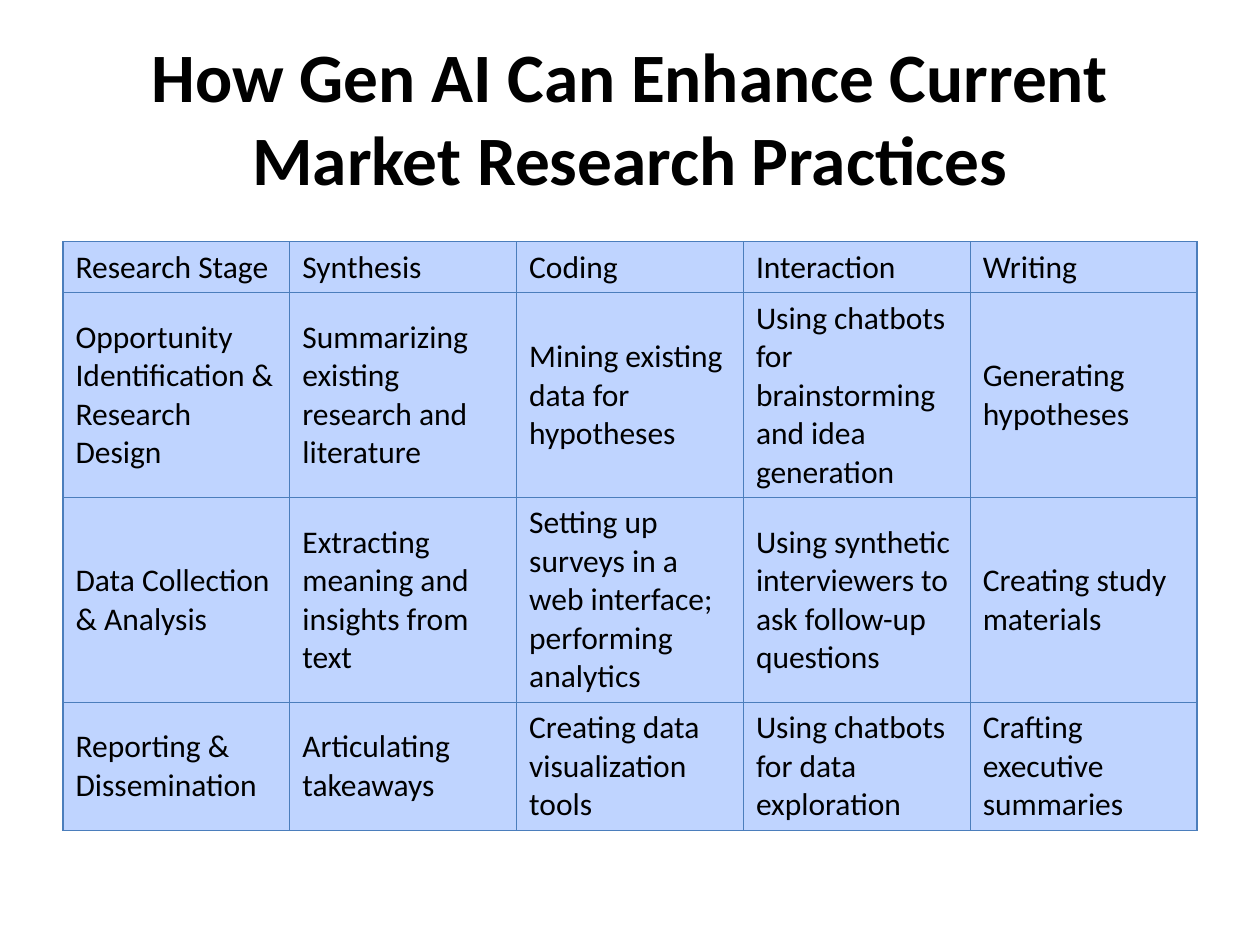
from lxml.etree import SubElement
from pptx import Presentation
from pptx.dml.color import RGBColor
from pptx.enum.text import MSO_ANCHOR as Anchor, PP_ALIGN as Align
from pptx.oxml.ns import qn
from pptx.util import Inches, Pt

INK, CELL_FILL, BORDER = "000000", "BFD4FF", "4B7EBC"
MARGIN, TABLE_TOP = 0.5, 1.92
LINE_HEIGHT, CELL_PADDING = 0.305, 0.1

ROWS = [
    ["Research Stage", "Synthesis", "Coding", "Interaction", "Writing"],
    ["Opportunity Identification & Research Design",
     "Summarizing existing research and literature",
     "Mining existing data for hypotheses",
     "Using chatbots for brainstorming and idea generation",
     "Generating hypotheses"],
    ["Data Collection & Analysis",
     "Extracting meaning and insights from text",
     "Setting up surveys in a web interface; performing analytics",
     "Using synthetic interviewers to ask follow-up questions",
     "Creating study materials"],
    ["Reporting & Dissemination",
     "Articulating takeaways",
     "Creating data visualization tools",
     "Using chatbots for data exploration",
     "Crafting executive summaries"],
]
ROW_LINES = [1, 5, 5, 3]  # text lines in the tallest cell of each row
ROW_HEIGHTS = [lines * LINE_HEIGHT + CELL_PADDING for lines in ROW_LINES]


def color(code):
    return RGBColor.from_string(code)


def write(frame, text, size, bold=False, align=Align.LEFT):
    frame.word_wrap = True
    para = frame.paragraphs[0]
    para.alignment = align
    span = para.add_run()
    span.text = text
    span.font.name = "Calibri"
    span.font.size = Pt(size)
    span.font.bold = bold
    span.font.color.rgb = color(INK)


deck = Presentation()
deck.slide_width, deck.slide_height = Inches(10), Inches(7.5)
page = deck.slides.add_slide(deck.slide_layouts[6])
content_width = deck.slide_width - 2 * Inches(MARGIN)

# Title
box = page.shapes.add_textbox(Inches(MARGIN), Inches(0.3), content_width, Inches(1.25))
box.text_frame.vertical_anchor = Anchor.MIDDLE
write(box.text_frame, "How Gen AI Can Enhance Current Market Research Practices",
      size=39.6, bold=True, align=Align.CENTER)

# Table grid
table = page.shapes.add_table(
    len(ROWS), len(ROWS[0]), Inches(MARGIN), Inches(TABLE_TOP),
    content_width, Inches(sum(ROW_HEIGHTS))).table
table.first_row = table.horz_banding = False
for row, height in zip(table.rows, ROW_HEIGHTS):
    row.height = Inches(height)

# Cells: text, borders, then fill
for row, texts in zip(table.rows, ROWS):
    for cell, text in zip(row.cells, texts):
        write(cell.text_frame, text, size=18)
        cell.vertical_anchor = Anchor.MIDDLE
        properties = cell._tc.get_or_add_tcPr()
        for side in ("lnL", "lnR", "lnT", "lnB"):
            line = SubElement(properties, qn(f"a:{side}"), w=str(Pt(0.75)))
            paint = SubElement(line, qn("a:solidFill"))
            SubElement(paint, qn("a:srgbClr"), val=BORDER)
        cell.fill.solid()
        cell.fill.fore_color.rgb = color(CELL_FILL)

deck.save("out.pptx")
